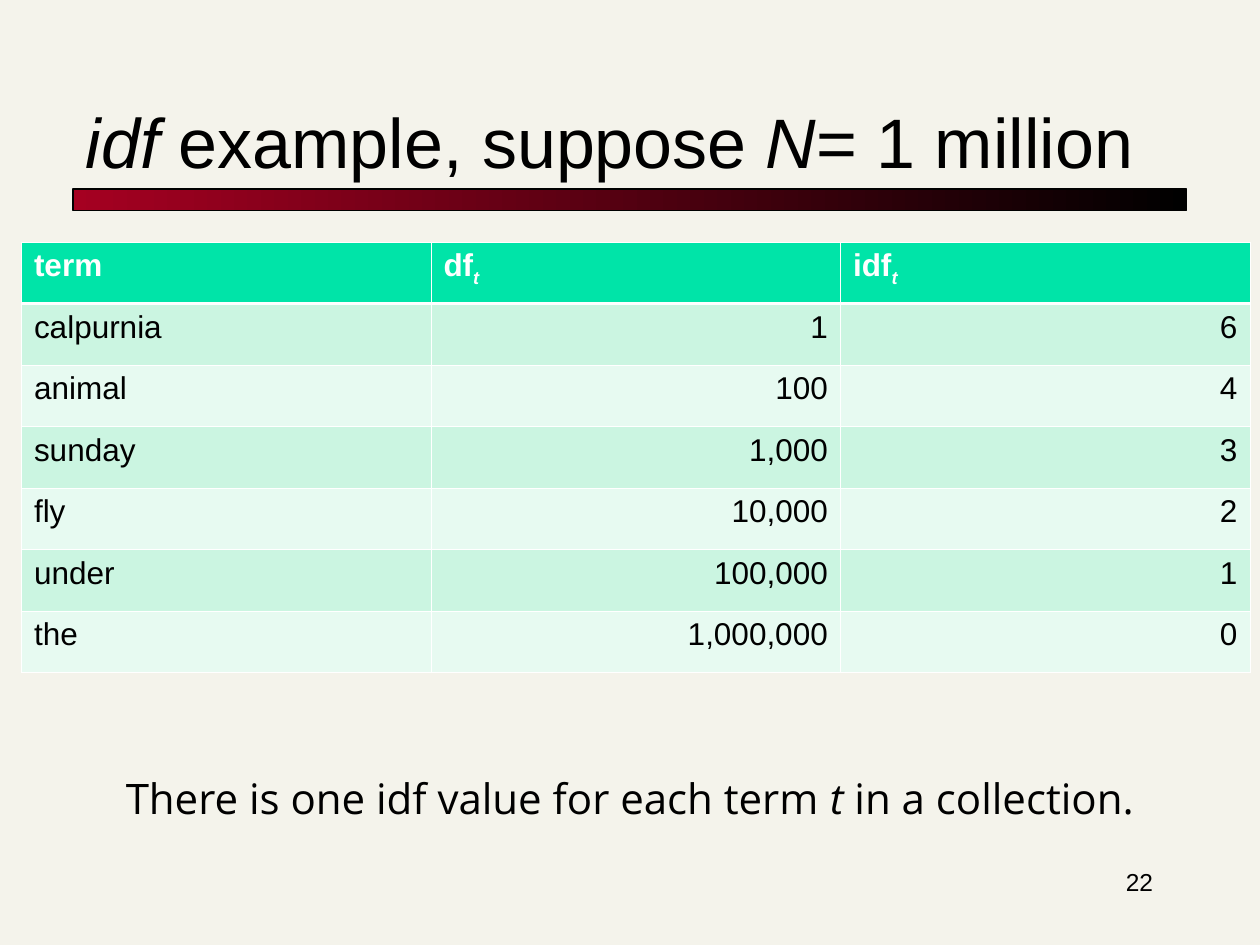
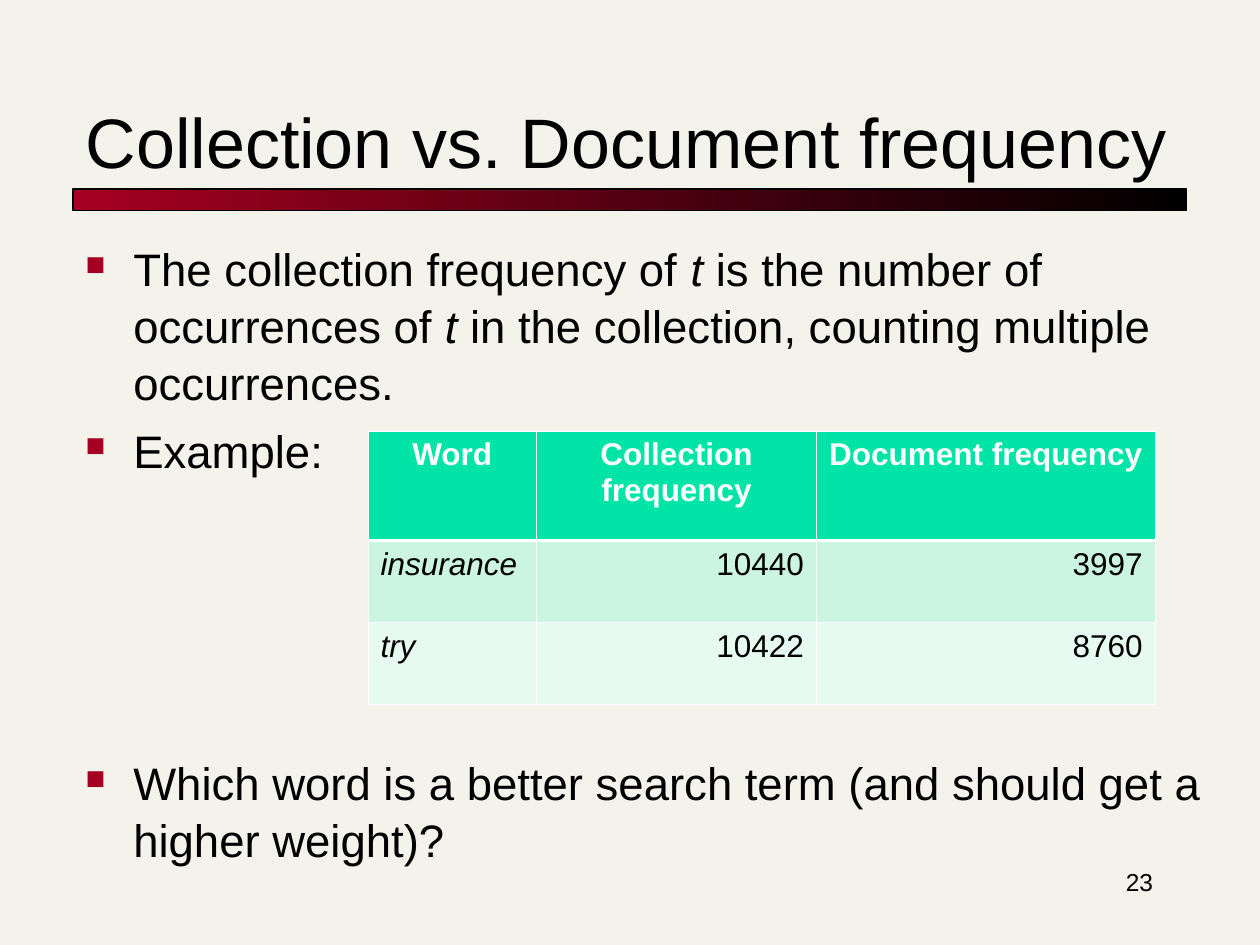
from pptx import Presentation
from pptx.dml.color import RGBColor
from pptx.enum.shapes import MSO_SHAPE
from pptx.enum.text import MSO_ANCHOR, MSO_AUTO_SIZE, PP_ALIGN
from pptx.oxml import parse_xml
from pptx.oxml.ns import nsdecls
from pptx.util import Inches, Pt

INK, WHITE, PAPER, CRIMSON = "000000", "FFFFFF", "F4F3EB", "A50021"
HEADER, BANDS = "00E4A8", ("CBF5E1", "E7FAF1")
LEFT, CENTER, RIGHT = PP_ALIGN.LEFT, PP_ALIGN.CENTER, PP_ALIGN.RIGHT
THIN, THICK = 0.45, 1.47


def color(value):
    return RGBColor.from_string(value)


def italic(text):
    return text, "italic"


def subscript(text):
    return text, "subscript"


class SlideBuilder:
    """Holds the shared style and the slide being filled."""

    def __init__(self, first_number):
        self.deck = Presentation()
        self.deck.slide_width, self.deck.slide_height = Inches(10), Inches(7.5)
        background = self.deck.slide_master.background.fill
        background.solid()
        background.fore_color.rgb = color(PAPER)
        self.number = first_number
        self.page = None

    def add_spans(self, para, spans, size, ink=INK, bold=False, font="Arial", align=LEFT):
        """Add spans to a paragraph; a span is plain text or (text, style)."""
        para.alignment = align
        for item in spans:
            text, style = (item, "") if isinstance(item, str) else item
            span = para.add_run()
            span.text = text
            span.font.name, span.font.size = font, Pt(size)
            span.font.color.rgb = color(ink)
            span.font.bold = bold
            span.font.italic = bool(style)
            if style == "subscript":
                span._r.get_or_add_rPr().set("baseline", "-25000")

    def start(self, *title):
        """Open a slide with its title, band and number."""
        self.page = self.deck.slides.add_slide(self.deck.slide_layouts[5])
        self.band()
        self.text(7.17, 6.83, 2.08, 0.5, [str(self.number)], 14, align=RIGHT)
        self.number += 1
        box = self.page.shapes.title
        box.left, box.top = Inches(0.58), Inches(0.42)
        box.width, box.height = Inches(8.83), Inches(1.08)
        frame = box.text_frame
        frame.auto_size = MSO_AUTO_SIZE.NONE
        frame.vertical_anchor = MSO_ANCHOR.BOTTOM
        self.add_spans(frame.paragraphs[0], title, 40)

    def band(self):
        bar = self.page.shapes.add_shape(
            MSO_SHAPE.RECTANGLE, Inches(0.58), Inches(1.5), Inches(8.84), Inches(0.17))
        bar.shadow.inherit = False
        bar.fill.gradient()
        bar.fill.gradient_angle = 0
        for stop, shade in zip(bar.fill.gradient_stops, (CRIMSON, INK)):
            stop.color.rgb = color(shade)
        bar.line.color.rgb = color(INK)
        bar.line.width = Pt(0.75)

    def frame(self, left, top, width, height, wrap=True):
        box = self.page.shapes.add_textbox(
            Inches(left), Inches(top), Inches(width), Inches(height))
        box.text_frame.word_wrap = wrap
        return box.text_frame

    def text(self, left, top, width, height, spans, size, wrap=True, **style):
        frame = self.frame(left, top, width, height, wrap)
        self.add_spans(frame.paragraphs[0], spans, size, **style)

    def bullets(self, left, top, width, height, items):
        """Each item is (points of space before, spans)."""
        frame = self.frame(left, top, width, height)
        for index, (space, spans) in enumerate(items):
            para = frame.add_paragraph() if index else frame.paragraphs[0]
            props = para._p.get_or_add_pPr()
            props.set("marL", str(Inches(0.38)))
            props.set("indent", str(-Inches(0.38)))
            for mark in (f'<a:buClr {nsdecls("a")}><a:srgbClr val="{CRIMSON}"/></a:buClr>',
                         f'<a:buSzPct {nsdecls("a")} val="60000"/>',
                         f'<a:buChar {nsdecls("a")} char="■"/>'):
                props.append(parse_xml(mark))
            para.line_spacing = 1.04
            if space:
                para.space_before = Pt(space)
            self.add_spans(para, spans, 26)

    def borders(self, cell, top, bottom):
        props = cell._tc.get_or_add_tcPr()
        for side, width in (("L", THIN), ("R", THIN), ("T", top), ("B", bottom)):
            props.append(parse_xml(
                f'<a:ln{side} {nsdecls("a")} w="{Pt(width)}"><a:solidFill>'
                f'<a:srgbClr val="{WHITE}"/></a:solidFill></a:ln{side}>'))

    def table(self, left, top, widths, heights, rows, header_align):
        """The first row is the header; later columns hold numbers."""
        table = self.page.shapes.add_table(
            len(rows), len(widths), Inches(left), Inches(top),
            Inches(sum(widths)), Inches(sum(heights))).table
        for column, width in zip(table.columns, widths):
            column.width = Inches(width)
        for r, (row, height) in enumerate(zip(rows, heights)):
            table.rows[r].height = Inches(height)
            for c, spans in enumerate(row):
                cell = table.cell(r, c)
                self.borders(cell, THICK if r == 1 else THIN, THIN if r else THICK)
                cell.fill.solid()
                cell.fill.fore_color.rgb = color(BANDS[(r - 1) % 2] if r else HEADER)
                align = (RIGHT if c else LEFT) if r else header_align
                self.add_spans(cell.text_frame.paragraphs[0], spans, 18,
                               INK if r else WHITE, bold=r == 0, align=align)


def main():
    builder = SlideBuilder(first_number=22)

    # Inverse document frequency
    builder.start(italic("idf"), " example, suppose ", italic("N"), "= 1 million")
    terms = [("calpurnia", "1", "6"), ("animal", "100", "4"), ("sunday", "1,000", "3"),
             ("fly", "10,000", "2"), ("under", "100,000", "1"), ("the", "1,000,000", "0")]
    idf_rows = [(["term"], ["df", subscript("t")], ["idf", subscript("t")])]
    idf_rows += [[[value] for value in term] for term in terms]
    builder.table(0.17, 1.92, [3.25] * 3, [3.42 / 7] * 7, idf_rows, LEFT)
    builder.text(0.9, 6.08, 8.27, 0.5,
                 ["There is one idf value for each term ", italic("t"), " in a collection."],
                 24, wrap=False, font="Open Sans")

    # Collection and document frequency
    builder.start("Collection vs. Document frequency")
    builder.bullets(0.58, 1.85, 9.17, 5.31, [
        (0, ["The collection frequency of ", italic("t"),
             " is the number of occurrences of ", italic("t"),
             " in the collection, counting multiple occurrences."]),
        (6.5, ["Example:"]),
        (157.5, ["Which word is a better search term (and should get a higher weight)?"])])
    frequency_rows = [
        (["Word"], ["Collection frequency"], ["Document frequency"]),
        ([italic("insurance")], ["10440"], ["3997"]),
        ([italic("try")], ["10422"], ["8760"])]
    builder.table(2.92, 3.42, [1.34, 2.22, 2.69], [0.87, 0.65, 0.65],
                  frequency_rows, CENTER)

    builder.deck.save("out.pptx")


if __name__ == "__main__":
    main()
